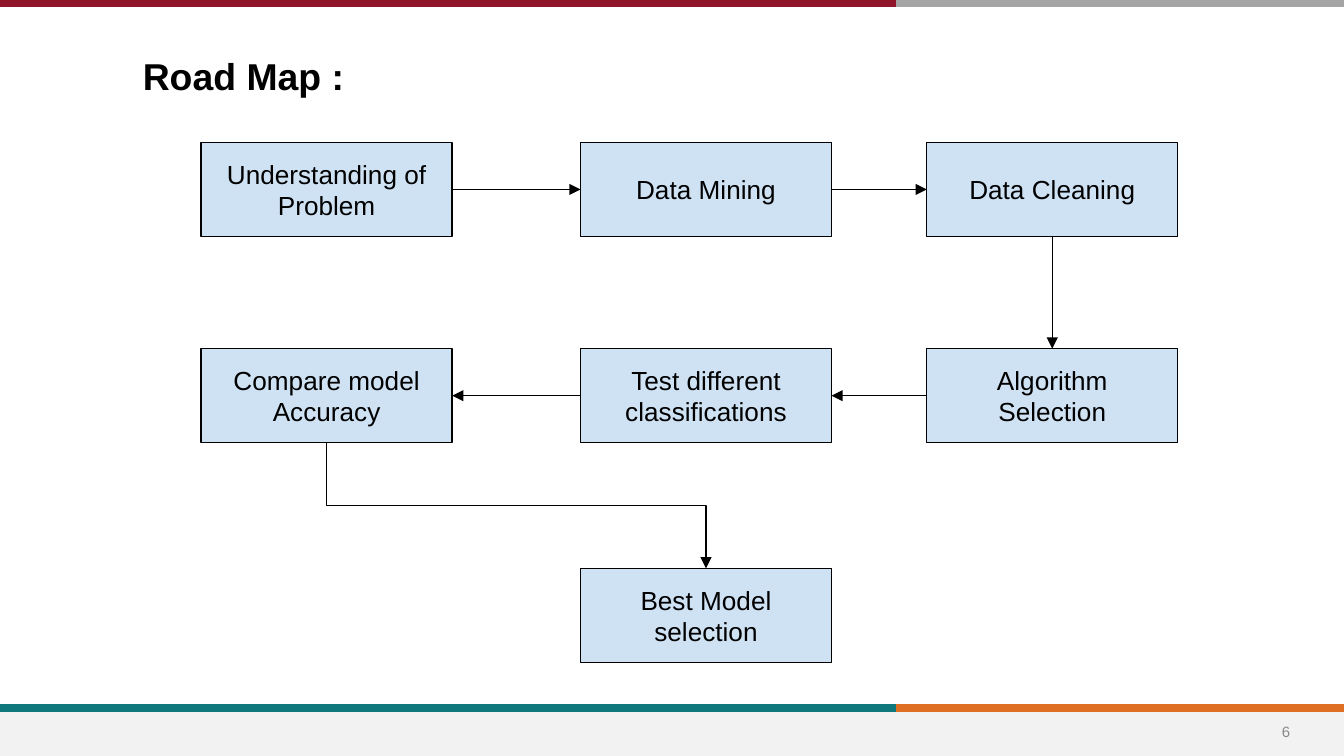
from lxml import etree
from pptx import Presentation
from pptx.dml.color import RGBColor
from pptx.enum.shapes import MSO_CONNECTOR, MSO_SHAPE
from pptx.enum.text import MSO_ANCHOR, PP_ALIGN
from pptx.oxml.ns import qn
from pptx.util import Pt

STRAIGHT, ELBOW = MSO_CONNECTOR.STRAIGHT, MSO_CONNECTOR.ELBOW
RECT = MSO_SHAPE.RECTANGLE
MIDDLE = MSO_ANCHOR.MIDDLE
LEFT, CENTER = PP_ALIGN.LEFT, PP_ALIGN.CENTER

W, H = 720, 405
SPLIT = 480
BOX_W, BOX_H = 134.5, 50.5
COLUMNS = (107.75, 311, 496.5)
ROWS = (76.25, 186.75, 304.5)
TOP, WEST, BOTTOM, EAST = range(4)  # connection sites of a rectangle

# label, column, row, in the order of the flow
STEPS = [
    ("Understanding of Problem", 0, 0),
    ("Data Mining", 1, 0),
    ("Data Cleaning", 2, 0),
    ("Algorithm Selection", 2, 1),
    ("Test different classifications", 1, 1),
    ("Compare model Accuracy", 0, 1),
    ("Best Model selection", 1, 2),
]


def rgb(value):
    return RGBColor.from_string(value)


def place(s, x, y, w, h):
    s.left, s.top, s.width, s.height = Pt(x), Pt(y), Pt(w), Pt(h)


def write(s, text, size, color="000000", align=CENTER, bold=False, insets=(5, 3)):
    tf = s.text_frame
    tf.word_wrap = True
    tf.vertical_anchor = MIDDLE
    tf.margin_left = tf.margin_right = Pt(insets[0])
    tf.margin_top = tf.margin_bottom = Pt(insets[1])
    p = tf.paragraphs[0]
    p.alignment = align
    r = p.add_run()
    r.text = text
    r.font.name, r.font.size, r.font.bold = "Arial", Pt(size), bold
    r.font.color.rgb = rgb(color)


def add_rect(slide, x, y, w, h, fill):
    s = slide.shapes.add_shape(RECT, Pt(x), Pt(y), Pt(w), Pt(h))
    s.shadow.inherit = False
    s.fill.solid()
    s.fill.fore_color.rgb = rgb(fill)
    s.line.fill.background()
    return s


def add_line(slide, x1, y1, x2, y2, color, width, kind=STRAIGHT):
    c = slide.shapes.add_connector(kind, Pt(x1), Pt(y1), Pt(x2), Pt(y2))
    c.line.color.rgb = rgb(color)
    c.line.width = Pt(width)
    etree.SubElement(c._element.spPr, qn("a:effectLst"))
    return c


def add_rule(slide, y, left_color, right_color):
    """Two-coloured line across the slide."""
    add_line(slide, SPLIT, y, W, y, right_color, 4)
    add_line(slide, 0, y, SPLIT, y, left_color, 4)


def add_footer(slide, y, number):
    add_rect(slide, 0, y, W, H - y, "F2F2F2")
    add_rule(slide, y - 1.75, "0F787D", "DF7023")
    s = slide.shapes.add_textbox(Pt(670.25), Pt(y), Pt(37.5), Pt(21.75))
    write(s, number, 8, "888888")


def add_title(slide, x, y, w, h, text):
    place(slide.shapes.title, x, y, w, h)
    write(slide.shapes.title, text, 20, align=LEFT, bold=True)


def add_step(slide, label, column, row):
    s = add_rect(slide, COLUMNS[column], ROWS[row], BOX_W, BOX_H, "CFE2F3")
    s.line.color.rgb = rgb("000000")
    s.line.width = Pt(0.75)
    write(s, label, 14, insets=(7.2, 7.2))
    return s


def turn_elbow(c, x1, y1, x2, y2):
    """Make the elbow leave and arrive vertically."""
    w, h = y2 - y1, x2 - x1
    place(c, (x1 + x2 - w) / 2, (y1 + y2 - h) / 2, w, h)
    xfrm = c._element.spPr.find(qn("a:xfrm"))
    xfrm.set("rot", str(270 * 60000))
    xfrm.set("flipH", "1")


def add_arrow(slide, a, b, start, end):
    """Arrow from step a to step b; start and end are their (column, row)."""
    (c1, r1), (c2, r2) = start, end
    if r1 == r2:
        sites = (EAST, WEST) if c2 > c1 else (WEST, EAST)
    else:
        sites = (BOTTOM, TOP)
    bent = r1 != r2 and c1 != c2
    c = add_line(slide, 0, 0, 0, 0, "000000", 0.75, ELBOW if bent else STRAIGHT)
    c.begin_connect(a, sites[0])
    c.end_connect(b, sites[1])
    if bent:
        turn_elbow(c, COLUMNS[c1] + BOX_W / 2, ROWS[r1] + BOX_H,
                   COLUMNS[c2] + BOX_W / 2, ROWS[r2])
    ln = c.line._get_or_add_ln()
    etree.SubElement(ln, qn("a:tailEnd"), type="triangle")


def add_flow(slide, steps):
    boxes = [add_step(slide, *step) for step in steps]
    for i in range(len(steps) - 1):
        add_arrow(slide, boxes[i], boxes[i + 1], steps[i][1:], steps[i + 1][1:])


def main():
    prs = Presentation()
    prs.slide_width, prs.slide_height = Pt(W), Pt(H)
    slide = prs.slides.add_slide(prs.slide_layouts[5])
    add_footer(slide, 381, "6")
    add_rule(slide, 1.75, "90152A", "A5A5A5")
    add_title(slide, 71.5, 24.5, 522, 31.5, "Road Map :")
    add_flow(slide, STEPS)
    prs.save("out.pptx")


if __name__ == "__main__":
    main()
